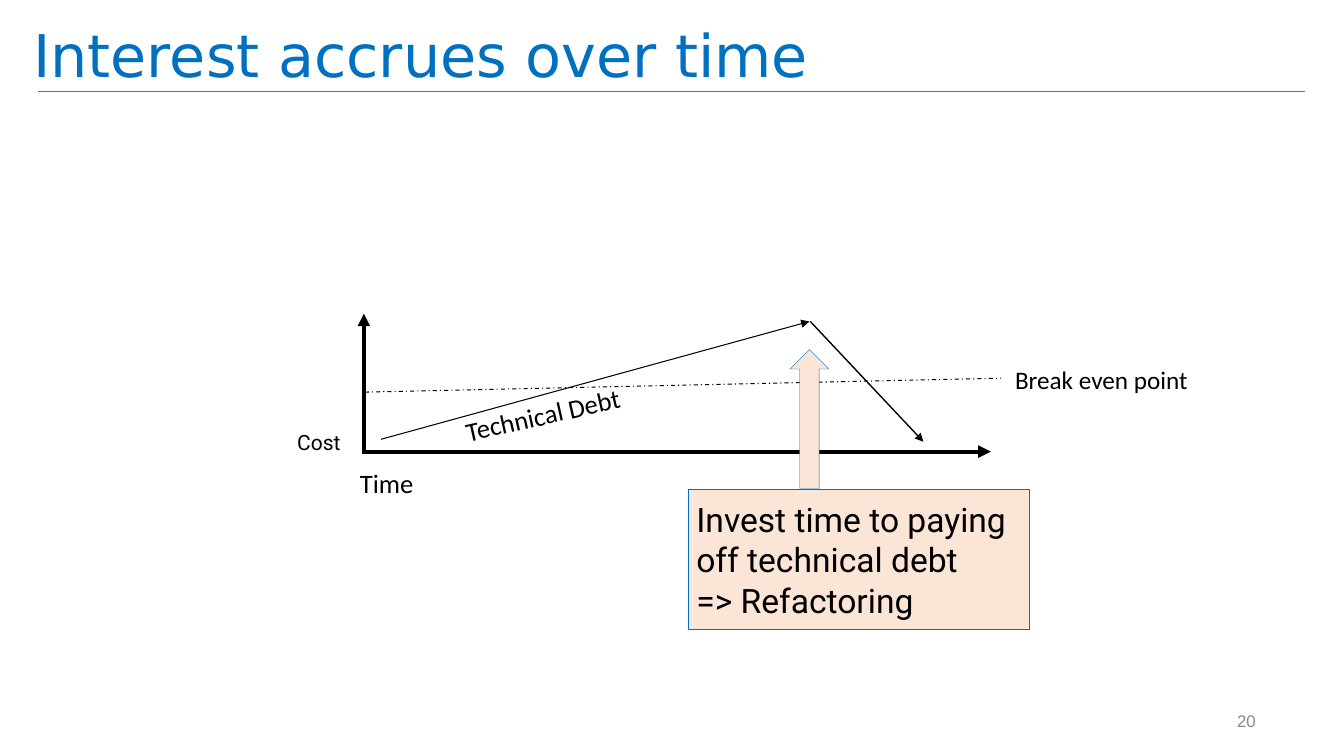
from pptx import Presentation
from pptx.dml.color import RGBColor
from pptx.enum.dml import MSO_LINE
from pptx.enum.shapes import MSO_CONNECTOR, MSO_SHAPE
from pptx.enum.text import MSO_ANCHOR, PP_ALIGN
from pptx.oxml.ns import qn
from pptx.util import Cm, Pt
from lxml.etree import SubElement

BLACK = RGBColor(0x00, 0x00, 0x00)
BLUE = RGBColor(0x00, 0x70, 0xC0)
RULE_BLUE = RGBColor(0x44, 0x72, 0xC4)
GREY = RGBColor(0x88, 0x88, 0x88)
PEACH = RGBColor(0xFB, 0xE5, 0xD6)

prs = Presentation()
prs.slide_width, prs.slide_height = Cm(33.87), Cm(19.05)
slide = prs.slides.add_slide(prs.slide_layouts[6])


def add_line(x1, y1, x2, y2, width, color=BLACK, arrow=False):
    line = slide.shapes.add_connector(
        MSO_CONNECTOR.STRAIGHT, Cm(x1), Cm(y1), Cm(x2), Cm(y2))
    line.line.color.rgb = color
    line.line.width = Pt(width)
    if arrow:
        SubElement(line.line._get_or_add_ln(), qn("a:tailEnd"), type="triangle")
    SubElement(line._element.spPr, qn("a:effectLst"))
    return line


def write(box, lines, font, size, color=BLACK, inset=0.1, anchor=MSO_ANCHOR.MIDDLE):
    frame = box.text_frame
    frame.word_wrap = True
    frame.vertical_anchor = anchor
    frame.margin_left = frame.margin_right = Cm(inset)
    frame.margin_top = frame.margin_bottom = Cm(0.1)
    frame.text = "\n".join(lines)
    for paragraph in frame.paragraphs:
        paragraph.alignment = PP_ALIGN.LEFT
        paragraph.font.name = font
        paragraph.font.size = Pt(size)
        paragraph.font.color.rgb = color


# Title and rule
add_line(0.97, 2.31, 32.89, 2.31, 0.5, RULE_BLUE)
title = slide.shapes.add_textbox(Cm(0.71), Cm(-1.3), Cm(33.25), Cm(3.68))
write(title, ["Interest accrues over time"], "DejaVu Sans", 42, BLUE,
      inset=0.13, anchor=MSO_ANCHOR.BOTTOM)
title.text_frame.paragraphs[0].line_spacing = 0.9

# Slide number
number = slide.shapes.add_textbox(Cm(30.81), Cm(17.83), Cm(0.97), Cm(0.69))
write(number, ["20"], "Arial", 12, GREY, inset=0.13)
number.text_frame.word_wrap = False
number.text_frame.paragraphs[0].alignment = PP_ALIGN.RIGHT

# Axes, debt growth, payoff and break-even level
add_line(9.12, 11.38, 24.97, 11.38, 3, arrow=True)
add_line(9.17, 11.43, 9.17, 7.9, 3, arrow=True)
add_line(9.6, 11.07, 20.4, 8.1, 0.75, arrow=True)
add_line(20.42, 8.1, 23.27, 11.13, 1, arrow=True)
break_even = add_line(9.19, 9.88, 25.22, 9.53, 0.75)
break_even.line.dash_style = MSO_LINE.DASH_DOT

# Diagram labels
for text, left, top, width, height, font, size, rotation in [
    ("Cost", 7.39, 10.74, 2.62, 0.81, "Roboto", 15, 0),
    ("Time", 8.97, 11.66, 2.62, 1.04, "Calibri", 19, 0),
    ("Break even point", 25.48, 9.14, 7.09, 0.84, "Calibri", 18, 0),
    ("Technical Debt", 11.58, 9.8, 5.56, 0.99, "Calibri", 19, 347.4),
]:
    label = slide.shapes.add_textbox(Cm(left), Cm(top), Cm(width), Cm(height))
    label.rotation = rotation
    write(label, [text], font, size)

# Refactoring callout with its arrow
callout = slide.shapes.add_shape(
    MSO_SHAPE.RECTANGLE, Cm(17.35), Cm(12.34), Cm(8.59), Cm(3.51))
up_arrow = slide.shapes.add_shape(
    MSO_SHAPE.UP_ARROW, Cm(19.91), Cm(8.81), Cm(0.98), Cm(3.5))
for shape in (callout, up_arrow):
    shape.shadow.inherit = False
    shape.fill.solid()
    shape.fill.fore_color.rgb = PEACH
    shape.line.color.rgb = BLUE
    shape.line.width = Pt(0.25)
write(callout, ["Invest time to paying off technical debt", "=> Refactoring"],
      "Roboto", 24, inset=0.2)

prs.save("out.pptx")
